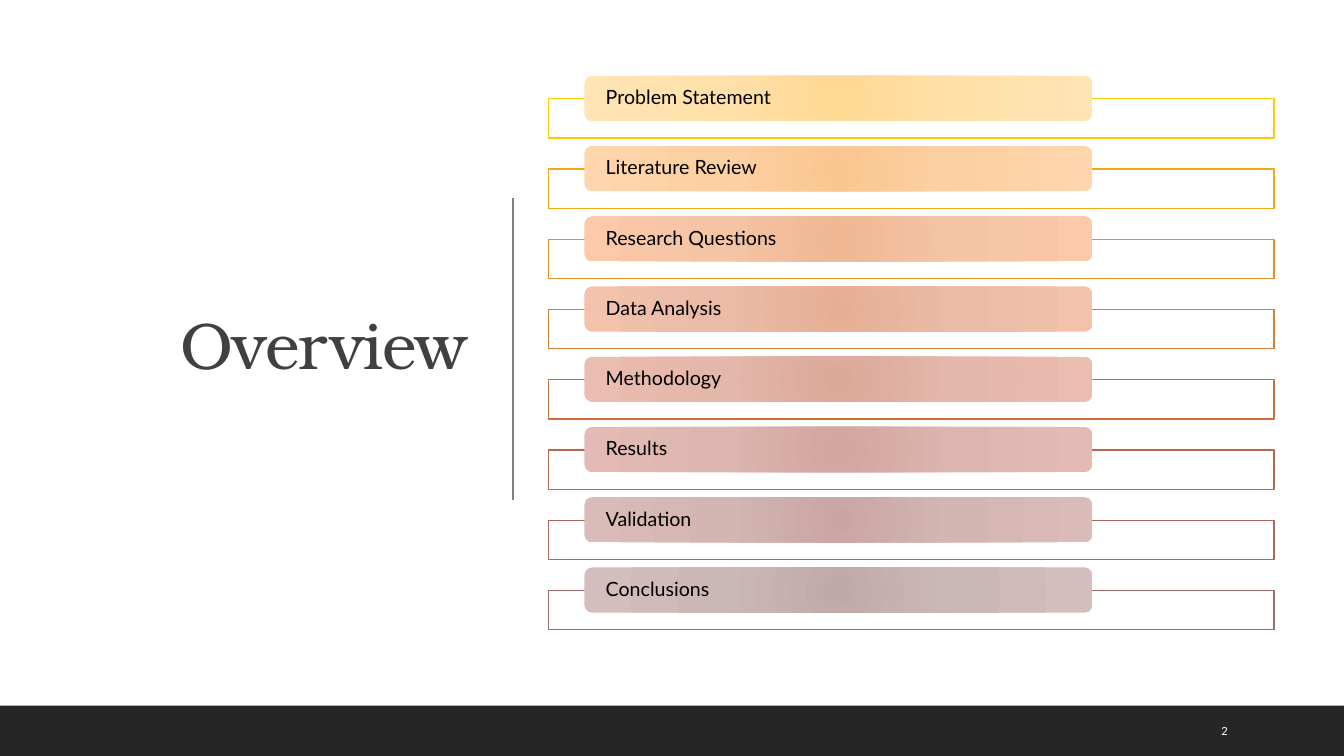
"""Build the overview slide with its agenda of eight sections."""
from lxml import etree
from pptx import Presentation
from pptx.dml.color import RGBColor
from pptx.enum.shapes import MSO_CONNECTOR, MSO_SHAPE
from pptx.enum.text import MSO_ANCHOR, PP_ALIGN
from pptx.oxml import parse_xml
from pptx.oxml.ns import nsdecls, qn
from pptx.util import Cm, Pt

RECT = MSO_SHAPE.RECTANGLE
ROUNDED = MSO_SHAPE.ROUNDED_RECTANGLE
STRAIGHT = MSO_CONNECTOR.STRAIGHT
MIDDLE = MSO_ANCHOR.MIDDLE
LEFT, RIGHT = PP_ALIGN.LEFT, PP_ALIGN.RIGHT

WHITE = RGBColor(0xFF, 0xFF, 0xFF)
BLACK = RGBColor(0x00, 0x00, 0x00)
CHARCOAL = RGBColor(0x26, 0x26, 0x26)
TITLE_GREY = RGBColor(0x40, 0x40, 0x40)
RULE_GREY = RGBColor(0x80, 0x80, 0x80)

SLIDE_WIDTH, SLIDE_HEIGHT = 33.87, 19.05
FOOTER_TOP = 17.78
FRAME_TOP, BAR_TOP, PITCH = 2.49, 1.91, 1.77
GRADIENT_STOPS = (0, 45, 100)

SECTIONS = [
    ("Problem Statement", "FFCA08", ("FFD993", "FFE0A9", "FFE4B4")),
    ("Literature Review", "F1A916", ("F9C690", "FDD0A3", "FFD5AD")),
    ("Research Questions", "E38F24", ("EFB792", "F4C4A5", "FCC9AA")),
    ("Data Analysis", "D57B32", ("E6AE95", "EBBBA7", "F3C1AC")),
    ("Methodology", "C76D40", ("DCA899", "E3B7AA", "EBBCB0")),
    ("Results", "B8664E", ("D3A69E", "DBB5AE", "E3BBB4")),
    ("Validation", "AA655C", ("CAA6A3", "D3B5B2", "DBBBB8")),
    ("Conclusions", "9C6A6A", ("C2A9A9", "CCB7B7", "D3BDBD")),
]


def write_text(frame, text, *, size, color, font="Lato", align=LEFT,
               line_spacing=1.0, tracking=None, margins=None):
    frame.word_wrap = True
    frame.vertical_anchor = MIDDLE
    if margins:
        side, edge = margins
        frame.margin_left = frame.margin_right = Cm(side)
        frame.margin_top = frame.margin_bottom = Cm(edge)
    paragraph = frame.paragraphs[0]
    paragraph.alignment = align
    paragraph.line_spacing = line_spacing
    run = paragraph.add_run()
    run.text = text
    run.font.name = font
    run.font.size = Pt(size)
    run.font.color.rgb = color
    if tracking is not None:
        run.font._element.set("spc", str(tracking))


class SlideBuilder:
    def __init__(self, slide):
        self.slide = slide
        self.line_width = Pt(1)

    def panel(self, left, top, width, height, *, kind=RECT, fill=None,
              line=None, opacity=None):
        panel = self.slide.shapes.add_shape(
            kind, Cm(left), Cm(top), Cm(width), Cm(height))
        panel.shadow.inherit = False
        if fill is not None:
            panel.fill.solid()
            panel.fill.fore_color.rgb = fill
        if opacity is not None:
            color = panel._element.spPr.find(qn("a:solidFill"))[0]
            etree.SubElement(color, qn("a:alpha"), val=str(opacity * 1000))
        if line is None:
            panel.line.fill.background()
        else:
            panel.line.color.rgb = line
            panel.line.width = self.line_width
        return panel

    def bar(self, left, top, width, height, text, colors):
        bar = self.panel(left, top, width, height, kind=ROUNDED)
        stops = "".join(
            f'<a:gs pos="{stop * 1000}"><a:srgbClr val="{color}"/></a:gs>'
            for stop, color in zip(GRADIENT_STOPS, colors))
        glow = parse_xml(
            f'<a:gradFill {nsdecls("a")} rotWithShape="1">'
            f'<a:gsLst>{stops}</a:gsLst><a:path path="circle">'
            '<a:fillToRect l="100000" t="100000" r="100000" b="100000"/>'
            '</a:path></a:gradFill>')
        bar._element.spPr.find(qn("a:prstGeom")).addnext(glow)
        write_text(bar.text_frame, text, size=14, color=BLACK,
                   line_spacing=0.9, margins=(0.48, 0))

    def rule(self, x, top, bottom):
        rule = self.slide.shapes.add_connector(
            STRAIGHT, Cm(x), Cm(top), Cm(x), Cm(bottom))
        rule.line.color.rgb = RULE_GREY
        rule.line.width = self.line_width
        etree.SubElement(rule._element.spPr, qn("a:effectLst"))

    def text(self, left, top, width, height, text, **style):
        box = self.slide.shapes.add_textbox(
            Cm(left), Cm(top), Cm(width), Cm(height))
        write_text(box.text_frame, text, **style)


def main():
    deck = Presentation()
    deck.slide_width, deck.slide_height = Cm(SLIDE_WIDTH), Cm(SLIDE_HEIGHT)
    page = SlideBuilder(deck.slides.add_slide(deck.slide_layouts[6]))

    page.panel(0, 0, SLIDE_WIDTH, SLIDE_HEIGHT, fill=WHITE)
    page.text(1.78, 1.75, 10.24, 14.05, "Overview", size=47, color=TITLE_GREY,
              font="TeX Gyre Bonum", align=RIGHT, line_spacing=0.9, tracking=-50)
    page.rule(12.93, 4.98, 12.6)
    page.panel(0, FOOTER_TOP, SLIDE_WIDTH, SLIDE_HEIGHT - FOOTER_TOP, fill=CHARCOAL)
    page.text(30.53, 17.91, 2.16, 1.02, "2", size=8, color=WHITE)

    for row, (section, outline, colors) in enumerate(SECTIONS):
        offset = row * PITCH
        page.panel(13.82, FRAME_TOP + offset, 18.29, 0.99, fill=WHITE,
                   line=RGBColor.from_string(outline), opacity=90)
        page.bar(14.73, BAR_TOP + offset, 12.8, 1.14, section, colors)

    deck.save("out.pptx")


if __name__ == "__main__":
    main()
